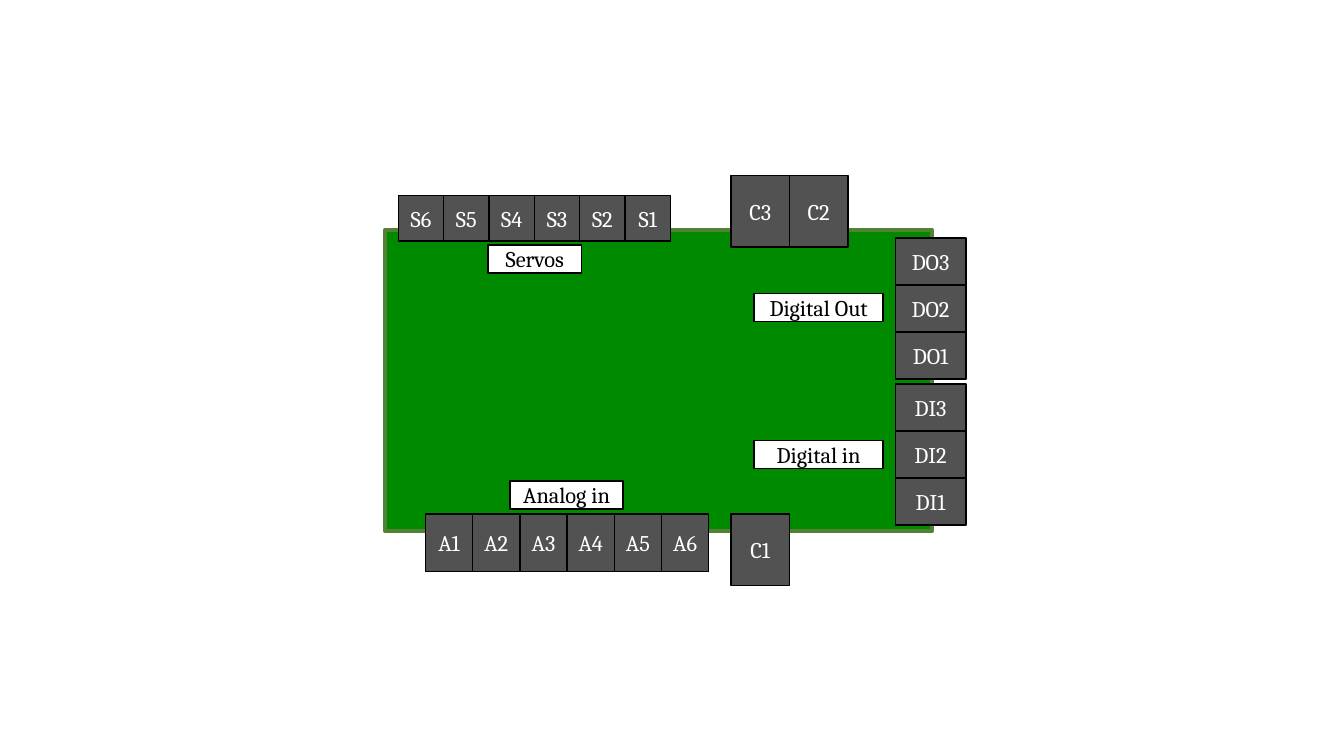
from pptx import Presentation
from pptx.dml.color import RGBColor
from pptx.enum.shapes import MSO_SHAPE
from pptx.enum.text import MSO_ANCHOR, PP_ALIGN
from pptx.util import Inches, Pt

RECTANGLE = MSO_SHAPE.RECTANGLE
MIDDLE = MSO_ANCHOR.MIDDLE
CENTER = PP_ALIGN.CENTER

COLORS = {
    "board": "008A00",
    "board_edge": "548235",
    "port": "525252",
    "black": "000000",
    "white": "FFFFFF",
}
FONT = "Cambria"
BOARD = (3.82, 2.28, 5.42, 2.99)
LABEL_HEIGHT = 0.28

PORT_ROWS = [
    (["S6", "S5", "S4", "S3", "S2", "S1"], (3.95, 1.94, 2.7, 0.45)),
    (["A1", "A2", "A3", "A4", "A5", "A6"], (4.22, 5.1, 2.81, 0.57)),
    (["C1"], (7.25, 5.1, 0.58, 0.71)),
    (["C3", "C2"], (7.25, 1.74, 1.16, 0.71)),
]
PORT_COLUMNS = [
    (["DO3", "DO2", "DO1"], (8.88, 2.36, 0.7, 1.4)),
    (["DI3", "DI2", "DI1"], (8.88, 3.81, 0.7, 1.4)),
]
LABELS = [
    ("Servos", 4.84, 2.43, 0.93),
    ("Analog in", 5.06, 4.77, 1.12),
    ("Digital Out", 7.48, 2.91, 1.28),
    ("Digital in", 7.48, 4.37, 1.28),
]


def color(name):
    return RGBColor.from_string(COLORS[name])


def add_box(page, text, area, fill="port", line="black", line_width=1, ink="white"):
    box = page.shapes.add_shape(RECTANGLE, *(Inches(length) for length in area))
    box.shadow.inherit = False
    box.fill.solid()
    box.fill.fore_color.rgb = color(fill)
    box.line.color.rgb = color(line)
    box.line.width = Pt(line_width)
    if text:
        frame = box.text_frame
        frame.margin_left = frame.margin_right = 0
        frame.margin_top = frame.margin_bottom = 0
        frame.vertical_anchor = MIDDLE
        para = frame.paragraphs[0]
        para.alignment = CENTER
        span = para.add_run()
        span.text = text
        span.font.name = FONT
        span.font.size = Pt(16)
        span.font.color.rgb = color(ink)


def main():
    deck = Presentation()
    deck.slide_width = Inches(13.33)
    deck.slide_height = Inches(7.5)
    page = deck.slides.add_slide(deck.slide_layouts[6])

    add_box(page, "", BOARD, fill="board", line="board_edge", line_width=3)

    for names, (left, top, width, height) in PORT_ROWS:
        step = width / len(names)
        for index, name in enumerate(names):
            add_box(page, name, (left + index * step, top, step, height))

    for names, (left, top, width, height) in PORT_COLUMNS:
        step = height / len(names)
        for index, name in enumerate(names):
            add_box(page, name, (left, top + index * step, width, step))

    for text, left, top, width in LABELS:
        add_box(page, text, (left, top, width, LABEL_HEIGHT), fill="white", ink="black")

    deck.save("out.pptx")


if __name__ == "__main__":
    main()
